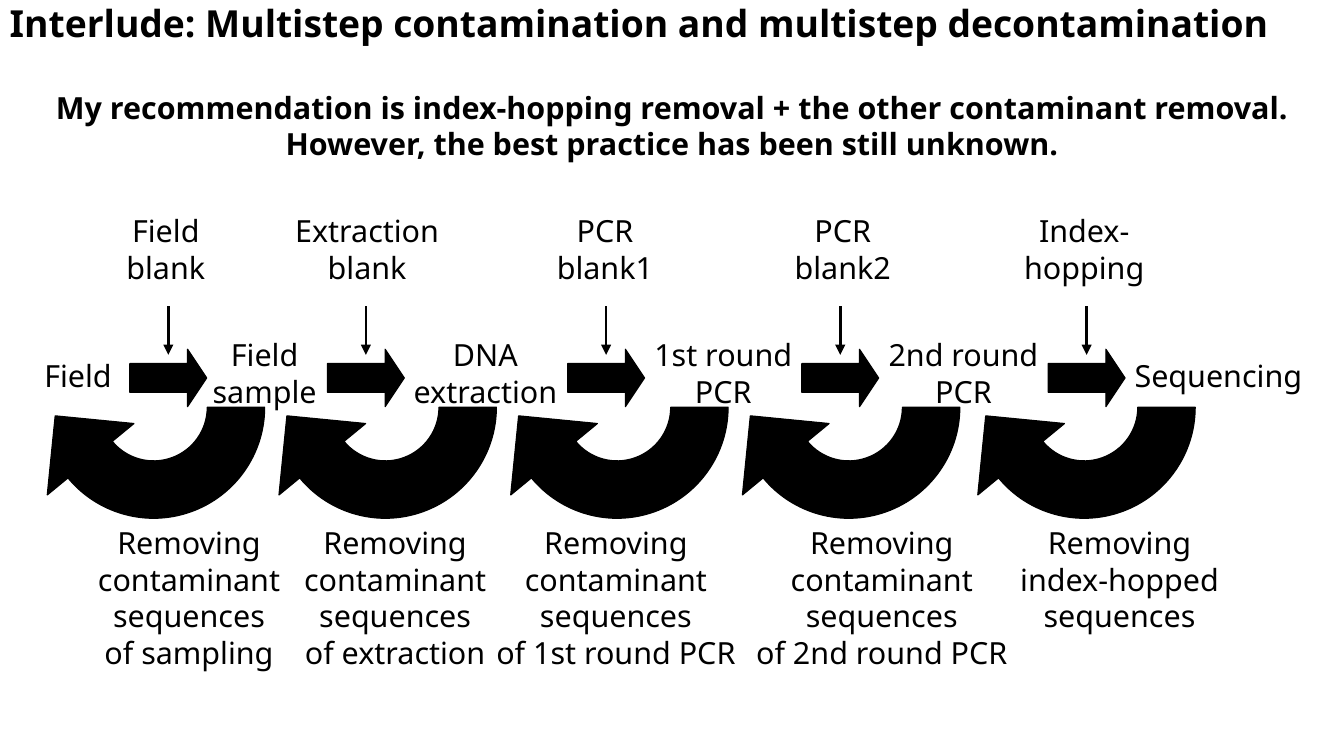
from math import atan, cos, hypot, radians, sin, tan
from lxml.etree import Element, SubElement
from pptx import Presentation
from pptx.dml.color import RGBColor
from pptx.enum.shapes import MSO_CONNECTOR as Link, MSO_SHAPE as Preset
from pptx.enum.text import MSO_ANCHOR as Anchor, MSO_AUTO_SIZE as Fit, PP_ALIGN as Align
from pptx.oxml.ns import qn
from pptx.util import Inches, Pt

TITLE = "Interlude: Multistep contamination and multistep decontamination"
ADVICE = [
    "My recommendation is index-hopping removal + the other contaminant removal.",
    "However, the best practice has been still unknown.",
]
STATIONS = [
    (0.64, 0.8, ["Field"]),
    (2.17, 1.1, ["Field", "sample"]),
    (3.98, 1.45, ["DNA", "extraction"]),
    (5.93, 1.4, ["1st round", "PCR"]),
    (7.9, 1.5, ["2nd round", "PCR"]),
    (9.99, 1.65, ["Sequencing"]),
]
BLANKS = [
    (1.36, 0.9, ["Field", "blank"]),
    (3.01, 1.45, ["Extraction", "blank"]),
    (4.96, 1.05, ["PCR", "blank1"]),
    (6.91, 1.05, ["PCR", "blank2"]),
    (8.89, 1.25, ["Index-", "hopping"]),
]
CONTAMINANT = ["Removing", "contaminant", "sequences"]
REMOVALS = [
    (1.55, 1.8, CONTAMINANT + ["of sampling"]),
    (3.24, 1.8, CONTAMINANT + ["of extraction"]),
    (5.05, 2.25, CONTAMINANT + ["of 1st round PCR"]),
    (7.23, 2.35, CONTAMINANT + ["of 2nd round PCR"]),
    (9.18, 1.9, ["Removing", "index-hopped", "sequences"]),
]
STEP_CENTRES = [1.38, 3.0, 4.97, 6.89, 8.91]
LOOP_CENTRES = [1.26, 3.16, 5.06, 6.96, 8.89]

WIDTH, HEIGHT = 11.02, 6.2
FONT = "Noto Sans"
BLACK = RGBColor(0, 0, 0)
LINE_HEIGHT, PADDING = 0.34, 0.1
ADVICE_TOP, BLANK_TOP, REMOVAL_TOP = 0.68, 1.69, 4.25
FLOW_MIDDLE = 3.1
STEP_WIDTH, STEP_HEIGHT = 0.63, 0.47
DROP_TOP, DROP_BOTTOM = 2.51, 2.91
LOOP_MIDDLE, LOOP_OUTER, LOOP_INNER = 3.34, 0.91, 0.44
HEAD_OUTER, HEAD_INNER, HEAD_ANGLE = 1.13, 0.21, 140.5
TIP_RADIUS, TIP_ANGLE = 0.81, 175
CURVE_STARTS = (0, 3, 10, 13)

deck = Presentation()
deck.slide_width, deck.slide_height = Inches(WIDTH), Inches(HEIGHT)
slide = deck.slides.add_slide(deck.slide_layouts[5])
shapes = slide.shapes


def write(frame, lines, size=18, bold=False, align=Align.CENTER):
    for number, line in enumerate(lines):
        paragraph = frame.paragraphs[0] if number == 0 else frame.add_paragraph()
        paragraph.alignment = align
        run = paragraph.add_run()
        run.text = line
        run.font.name, run.font.size = FONT, Pt(size)
        run.font.bold, run.font.color.rgb = bold, BLACK


def add_label(centre, width, lines, top=None, middle=None, **style):
    height = PADDING + LINE_HEIGHT * len(lines)
    if top is None:
        top = middle - height / 2
    box = shapes.add_textbox(*map(Inches, (centre - width / 2, top, width, height)))
    box.text_frame.word_wrap = False
    box.text_frame.auto_size = Fit.SHAPE_TO_FIT_TEXT
    write(box.text_frame, lines, **style)


def blacken(shape):
    shape.shadow.inherit = False
    shape.fill.solid()
    shape.fill.fore_color.rgb = BLACK
    shape.line.color.rgb = BLACK
    shape.line.width = Pt(0)


def add_step(centre):
    step = shapes.add_shape(Preset.RIGHT_ARROW, *map(Inches, (
        centre - STEP_WIDTH / 2, FLOW_MIDDLE - STEP_HEIGHT / 2, STEP_WIDTH, STEP_HEIGHT)))
    step.adjustments[0], step.adjustments[1] = 0.5, 0.333
    blacken(step)


def add_drop(centre):
    drop = shapes.add_connector(Link.STRAIGHT, *map(Inches, (centre, DROP_TOP, centre, DROP_BOTTOM)))
    drop.line.color.rgb, drop.line.width = BLACK, Pt(1.5)
    SubElement(drop.line._get_or_add_ln(), qn("a:tailEnd"), type="triangle")
    SubElement(drop._element.spPr, qn("a:effectLst"))


def arc(radius, start, end):
    half = radians(end - start) / 2
    pull = 4 / 3 * tan(half / 4)
    reach, lean = radius * hypot(1, pull), atan(pull)
    points = [(radius, radians(start))]
    for turn in (radians(start), radians(start) + half):
        points += [(reach, turn + lean), (reach, turn + half - lean), (radius, turn + half)]
    return points


def add_loop(centre):
    head = [(HEAD_OUTER, radians(HEAD_ANGLE)), (TIP_RADIUS, radians(TIP_ANGLE)),
            (HEAD_INNER, radians(HEAD_ANGLE))]
    polar = arc(LOOP_OUTER, 0, HEAD_ANGLE) + head + arc(LOOP_INNER, HEAD_ANGLE, 0)
    outline = [(Inches(centre + radius * cos(turn)), Inches(LOOP_MIDDLE + radius * sin(turn)))
               for radius, turn in polar]
    builder = shapes.build_freeform(*outline[0])
    builder.add_line_segments(outline[1:], close=True)
    loop = builder.convert_to_shape()
    sides = list(loop._element.iter(qn("a:lnTo")))
    for start in CURVE_STARTS:
        curve = Element(qn("a:cubicBezTo"))
        sides[start].addprevious(curve)
        for side in sides[start:start + 3]:
            curve.append(side[0])
            side.getparent().remove(side)
    blacken(loop)


title = shapes.title
title.left, title.top, title.width, title.height = map(Inches, (0.08, 0, 10.87, 0.87))
heading = title.text_frame
heading.margin_left = heading.margin_right = heading.margin_top = heading.margin_bottom = 0
heading.vertical_anchor, heading.word_wrap, heading.auto_size = Anchor.TOP, True, Fit.NONE
write(heading, [TITLE], size=22, bold=True, align=Align.LEFT)

add_label(WIDTH / 2, 10.4, ADVICE, top=ADVICE_TOP, bold=True)
for station in STATIONS:
    add_label(*station, middle=FLOW_MIDDLE)
for blank in BLANKS:
    add_label(*blank, top=BLANK_TOP)
for centre in STEP_CENTRES:
    add_step(centre)
    add_drop(centre)
for centre in LOOP_CENTRES:
    add_loop(centre)
for removal in REMOVALS:
    add_label(*removal, top=REMOVAL_TOP)

deck.save("out.pptx")
